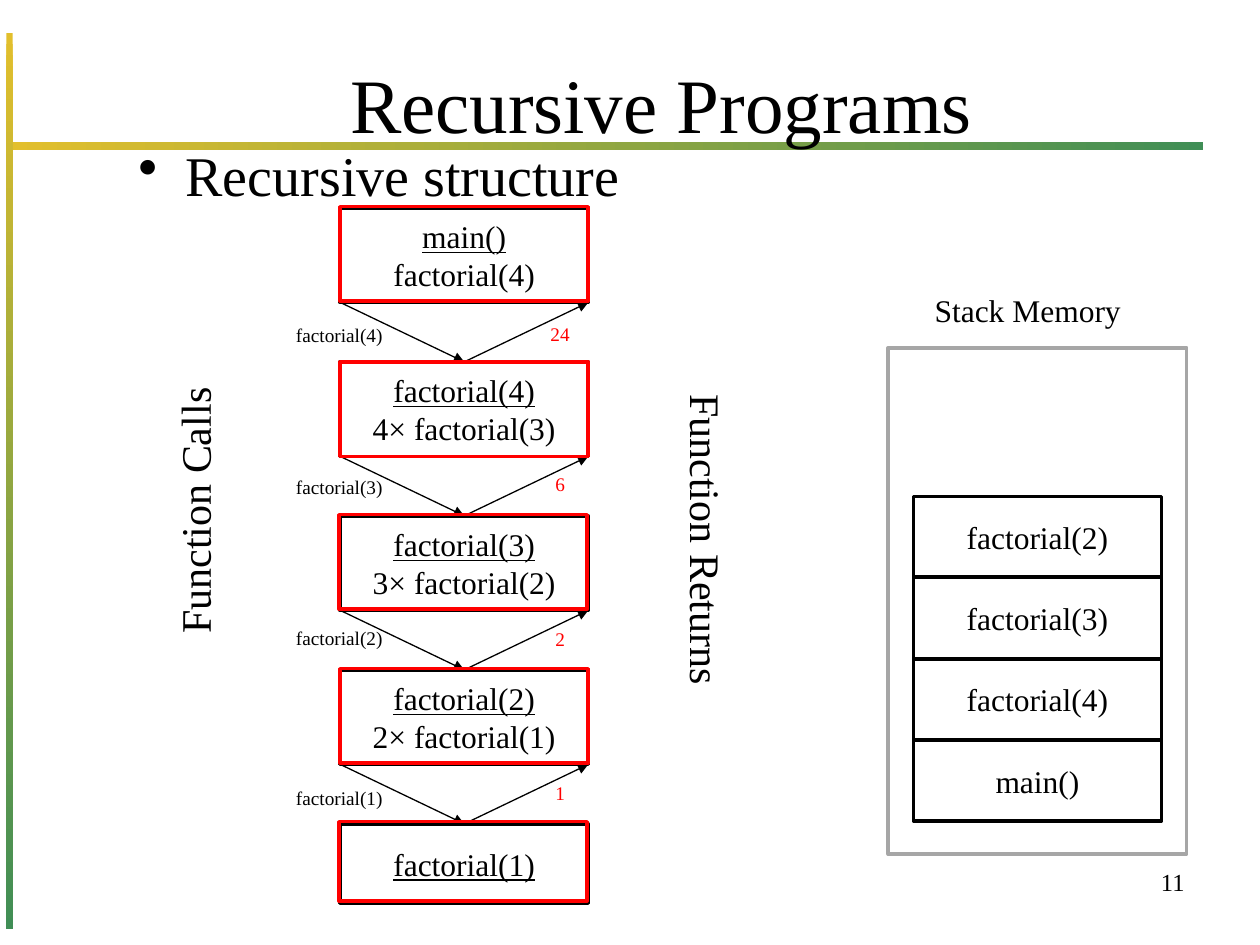
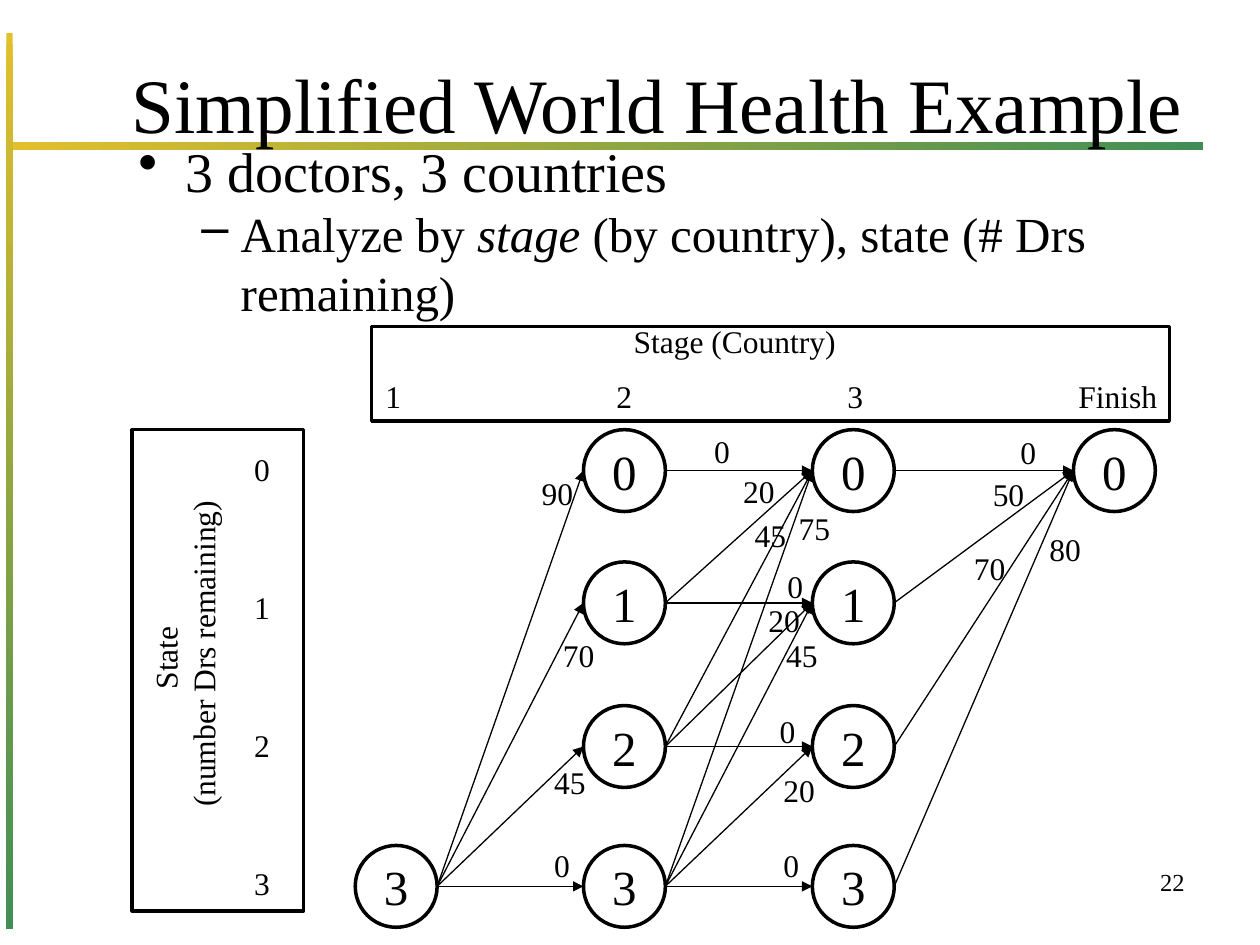
from pptx import Presentation
from pptx.dml.color import RGBColor
from pptx.enum.shapes import MSO_CONNECTOR, MSO_SHAPE
from pptx.enum.text import MSO_ANCHOR as Anchor, MSO_AUTO_SIZE as AutoSize, PP_ALIGN as Align
from pptx.oxml.ns import qn
from pptx.oxml.xmlchemy import OxmlElement
from pptx.util import Pt

FONT = "Times New Roman"
BLACK, RED, GRAY = "000000", "FF0000", "A6A6A6"
YELLOW, GREEN = "E2BF2C", "408E56"
BULLETS = [("•", 27, -27, 32), ("–", 58.5, -22.5, 28)]  # mark, margin, indent, size

# Call chain: lines of each box, shift of its red outline
CALLS = [
    ("main()\nfactorial(4)", (0, -0.7)),
    ("factorial(4)\n4× factorial(3)", (0, 0)),
    ("factorial(3)\n3× factorial(2)", (-0.7, -0.7)),
    ("factorial(2)\n2× factorial(1)", (0, -0.7)),
    ("factorial(1)", (-0.7, -1.2)),
]
# Between two boxes: call, its drop below the box, returned value, its drop
STEPS = [
    ("factorial(4)", 8.6, "24", 7.9),
    ("factorial(3)", 7, "6", 5.6),
    ("factorial(2)", 5.4, "2", 6.2),
    ("factorial(1)", 8.9, "1", 6),
]
STACK = ["factorial(2)", "factorial(3)", "factorial(4)", "main()"]

# Network: states per stage, gain by doctors used, label place by (state, next state)
STATES = [[3], [0, 1, 2, 3], [0, 1, 2, 3], [0]]
STAGE_X = [0, 130.4, 261.2, 410.4]
STATE_Y = [0, 75.6, 157.7, 237.6]
GAINS = [[0, 45, 70, 90], [0, 20, 45, 75], [0, 50, 70, 80]]
GAIN_PLACES = [
    {(3, 0): (99.4, 21.6), (3, 1): (111.6, 114.5),
     (3, 2): (106.6, 187.2), (3, 3): (106.6, 234.7)},
    {(0, 0): (198, -2.1), (1, 0): (214.6, 20.9), (1, 1): (239.8, 74.9),
     (2, 0): (221.1, 46.1), (2, 1): (229, 94.3), (2, 2): (235.5, 157.7),
     (3, 0): (246.3, 41.8), (3, 1): (239.1, 114.5),
     (3, 2): (237.6, 191.5), (3, 3): (237.6, 234.7)},
    {(0, 0): (373, -1.4), (1, 0): (357.2, 22.3),
     (2, 0): (346.4, 64.8), (3, 0): (389.6, 54)},
]


def color(value):
    return RGBColor.from_string(value)


def points(*lengths):
    return [Pt(length) for length in lengths]


def style_paragraph(paragraph, size, ink=BLACK, align=None):
    paragraph.alignment = align
    paragraph.font.name = FONT
    paragraph.font.size = Pt(size)
    paragraph.font.color.rgb = color(ink)


def add_text(slide, box, text, size, ink=BLACK, align=None, anchor=Anchor.TOP):
    """Add a wrapping text box."""
    shape = slide.shapes.add_textbox(*points(*box))
    frame = shape.text_frame
    frame.word_wrap = True
    frame.vertical_anchor = anchor
    paragraph = frame.paragraphs[0]
    paragraph.text = text
    style_paragraph(paragraph, size, ink, align)
    return shape


def add_label(slide, box, text, size=18, ink=BLACK, align=None, vertical=None):
    """Add a text box that fits its unwrapped text."""
    shape = add_text(slide, box, text, size, ink, align)
    shape.text_frame.word_wrap = False
    shape.text_frame.auto_size = AutoSize.SHAPE_TO_FIT_TEXT
    if vertical:
        shape.element.txBody.bodyPr.set("vert", vertical)


def add_number(slide, left, top, number):
    text = str(number)
    add_label(slide, (left, top, 15.2 + 8.6 * len(text), 28.8), text)


def add_outline(slide, box, text="", size=18, line=BLACK, kind=MSO_SHAPE.RECTANGLE):
    shape = slide.shapes.add_shape(kind, *points(*box))
    shape.shadow.inherit = False
    shape.fill.background()
    shape.line.color.rgb = color(line)
    shape.line.width = Pt(2)
    if text:
        shape.text_frame.vertical_anchor = Anchor.MIDDLE
        paragraph = shape.text_frame.paragraphs[0]
        paragraph.text = text
        style_paragraph(paragraph, size, align=Align.CENTER)
    return shape


def add_arrow(slide, start, end):
    arrow = slide.shapes.add_connector(MSO_CONNECTOR.STRAIGHT, *points(*start, *end))
    arrow.line.color.rgb = color(BLACK)
    arrow.line.width = Pt(0.75)
    properties = arrow.element.spPr
    head = OxmlElement("a:tailEnd")
    head.set("type", "triangle")
    properties.find(qn("a:ln")).append(head)
    properties.append(OxmlElement("a:effectLst"))
    return arrow


def add_band(slide, box, angle):
    band = slide.shapes.add_shape(MSO_SHAPE.RECTANGLE, *points(*box))
    band.shadow.inherit = False
    band.line.fill.background()
    band.fill.gradient()
    band.fill.gradient_angle = angle
    for stop, shade in zip(band.fill.gradient_stops, (YELLOW, GREEN)):
        stop.color.rgb = color(shade)


def add_bullets(slide, box, items):
    """Each item is a level and its runs, as (text, italic)."""
    frame = slide.shapes.add_textbox(*points(*box)).text_frame
    frame.word_wrap = True
    for index, (level, runs) in enumerate(items):
        paragraph = frame.add_paragraph() if index else frame.paragraphs[0]
        mark, margin, indent, size = BULLETS[level]
        paragraph.level = level
        properties = paragraph._p.get_or_add_pPr()
        properties.set("marL", str(Pt(margin)))
        properties.set("indent", str(Pt(indent)))
        bullet = OxmlElement("a:buChar")
        bullet.set("char", mark)
        properties.append(bullet)
        style_paragraph(paragraph, size)
        for text, italic in runs:
            run = paragraph.add_run()
            run.text = text
            if italic:
                run.font.italic = True


def start_slide(presentation, title, number):
    """Add a slide with its bands, title and page number."""
    slide = presentation.slides.add_slide(presentation.slide_layouts[6])
    add_band(slide, (3.6, 18.7, 3.6, 512), 270)
    add_band(slide, (7.2, 81.4, 680.4, 4.3), 0)
    add_text(slide, (65.5, 21.6, 620.6, 74.2) if len(title) > 25 else (72, 21.6, 612, 74.2),
             title, 44, align=Align.CENTER, anchor=Anchor.MIDDLE)
    add_text(slide, (503.3, 491.8, 180.7, 37.4), str(number), 14, align=Align.RIGHT)
    return slide


def draw_call_chain(slide, left, top):
    width, height, last_height, step = 141.8, 54, 45.4, 88
    boxes, places = [], []
    for index, (text, _) in enumerate(CALLS):
        place = (left, top + step * index, width,
                 last_height if index == len(CALLS) - 1 else height)
        box = add_outline(slide, place, text)
        box.text_frame.paragraphs[0].runs[0].font.underline = True
        boxes.append(box)
        places.append(place)

    for index, (call, call_drop, value, value_drop) in enumerate(STEPS):
        bottom = top + step * index + height
        middle = (left + width / 2, top + step * (index + 1))
        called = boxes[index + 1]
        add_arrow(slide, (left, bottom), middle).end_connect(called, 0)
        add_arrow(slide, middle, (left + width, bottom)).begin_connect(called, 0)
        add_label(slide, (left - 32.4, bottom + call_drop, 64.1, 20.9), call, 11)
        value_width = 14.5 + 5.7 * len(value)
        add_label(slide, (left + 126 - value_width / 2, bottom + value_drop, value_width, 20.9),
                  value, 11, RED)

    for (x, y, box_width, box_height), (_, (shift_x, shift_y)) in zip(places, CALLS):
        add_outline(slide, (x + shift_x, y + shift_y, box_width, box_height), line=RED)

    add_label(slide, (left - 101.5, top + 101.5, 43.9, 149), "Function Calls", 24,
              vertical="vert270")
    add_label(slide, (left + 183.6, top + 99.4, 43.9, 175), "Function Returns", 24,
              vertical="vert")


def draw_stack(slide, left, top):
    add_label(slide, (left + 19.4, top - 36, 122.4, 28.8), "Stack Memory")
    add_outline(slide, (left, top, 170.6, 289.4), line=GRAY)
    for index, call in enumerate(STACK):
        add_outline(slide, (left + 14.4, top + 85 + 46.4 * index, 141.8, 46.2), call)


def draw_stage_header(slide, left, top):
    add_outline(slide, (left, top, 455.8, 54))
    add_label(slide, (left + 142.6, top - 5.8, 131, 28.8), "Stage (Country)")
    for index, stage in enumerate(["1", "2", "3", "Finish"]):
        width = 59.8 if stage == "Finish" else 23.8
        add_label(slide, (left + 0.7 + 132 * index, top + 25.2, width, 28.8), stage)


def draw_state_header(slide, left, top):
    add_outline(slide, (left, top, 97.9, 275))
    add_label(slide, (left + 4.3, top + 36, 58.3, 184.3), "State \n(number Drs remaining)",
              align=Align.CENTER, vertical="vert270")
    for state in range(4):
        add_number(slide, left + 62.6, top + 7.9 + 79 * state, state)


def draw_network(slide, left, top):
    """Draw every state per stage, and an arrow to each state that can follow."""
    diameter = 46.8
    for x, states in zip(STAGE_X, STATES):
        for state in states:
            add_outline(slide, (left + x, top + STATE_Y[state], diameter, diameter),
                        str(state), 28, kind=MSO_SHAPE.OVAL)
    for stage, places in enumerate(GAIN_PLACES):
        for (state, following), (x, y) in places.items():
            add_arrow(slide,
                      (left + STAGE_X[stage] + diameter, top + STATE_Y[state] + diameter / 2),
                      (left + STAGE_X[stage + 1], top + STATE_Y[following] + diameter / 2))
            add_number(slide, left + x, top + y, GAINS[stage][state - following])


def build_recursion_slide(presentation):
    slide = start_slide(presentation, "Recursive Programs", 11)
    add_bullets(slide, (72, 77, 612, 396), [(0, [("Recursive structure", False)])])
    draw_call_chain(slide, 194.4, 118.8)
    draw_stack(slide, 507.6, 198.7)


def build_network_slide(presentation):
    slide = start_slide(presentation, "Simplified World Health Example", 22)
    add_bullets(slide, (72, 74.2, 612, 393.8), [
        (0, [("3 doctors, 3 countries", False)]),
        (1, [("Analyze by ", False), ("stage", True),
             (" (by country), state (# Drs remaining)", False)]),
    ])
    draw_stage_header(slide, 212.4, 186.5)
    draw_state_header(slide, 75.6, 245.5)
    draw_network(slide, 203, 245.5)


def main():
    presentation = Presentation()
    presentation.slide_width, presentation.slide_height = points(720, 540)
    build_recursion_slide(presentation)
    build_network_slide(presentation)
    presentation.save("out.pptx")


if __name__ == "__main__":
    main()
